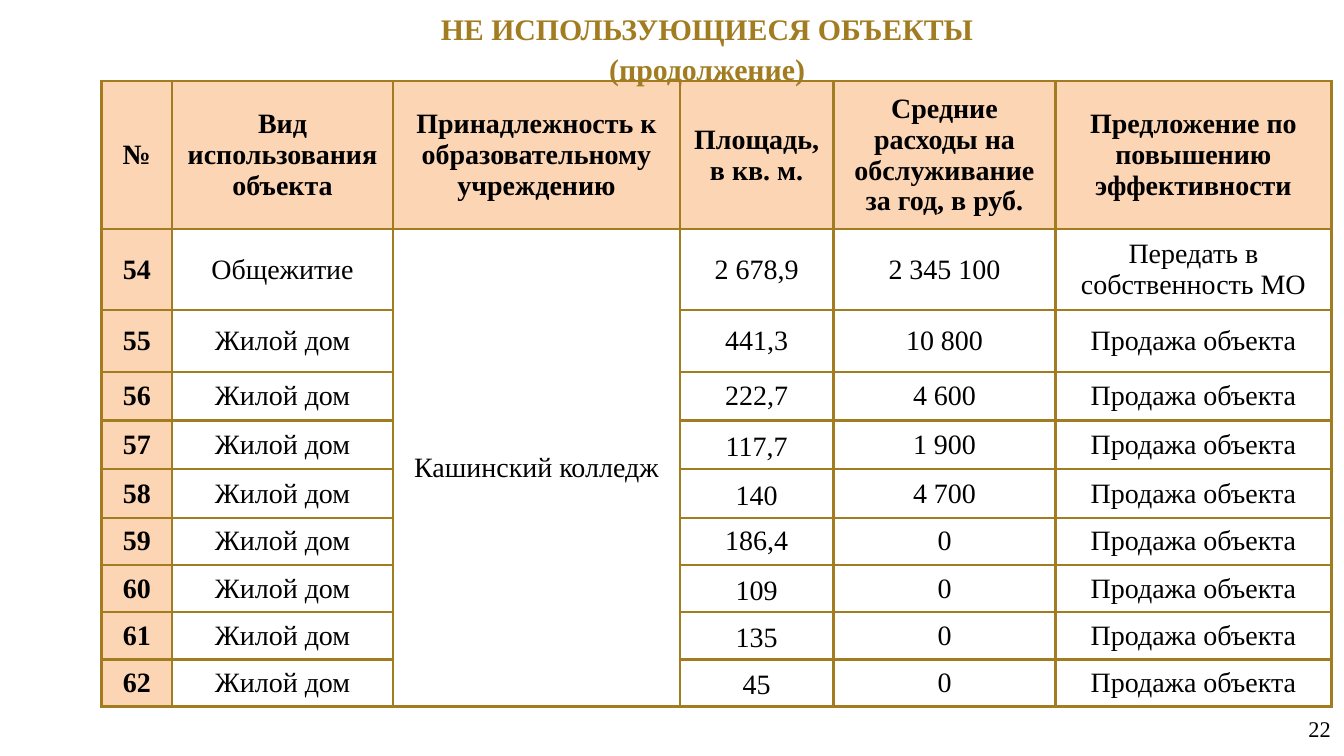
from lxml.etree import SubElement
from pptx import Presentation
from pptx.dml.color import RGBColor
from pptx.enum.text import MSO_ANCHOR as Anchor, MSO_AUTO_SIZE as AutoSize, PP_ALIGN as Align
from pptx.oxml.ns import qn
from pptx.util import Cm, Pt

GOLD = RGBColor(0xA1, 0x7C, 0x21)
PEACH = RGBColor(0xFC, 0xD5, 0xB5)
BLACK = RGBColor(0, 0, 0)
FONT = "Times New Roman"


def format_para(para, align, size, color, bold=False):
    para.alignment = align
    para.font.name = FONT
    para.font.size = Pt(size)
    para.font.bold = bold
    para.font.color.rgb = color


def add_borders(cell):
    properties = cell._tc.get_or_add_tcPr()
    for side in ("a:lnL", "a:lnR", "a:lnT", "a:lnB"):
        line = SubElement(properties, qn(side), w=str(Pt(1.5)))
        fill = SubElement(line, qn("a:solidFill"))
        SubElement(fill, qn("a:srgbClr"), val=str(GOLD))


deck = Presentation()
deck.slide_width = Cm(25.4)
deck.slide_height = Cm(14.28)
page = deck.slides.add_slide(deck.slide_layouts[5])

number_box = page.shapes.add_textbox(Cm(19.48), Cm(13.26), Cm(5.92), Cm(0.99))
number_box.text_frame.word_wrap = True
number_box.text_frame.vertical_anchor = Anchor.MIDDLE
number_box.text_frame.text = "22"
format_para(number_box.text_frame.paragraphs[0], Align.RIGHT, 12, BLACK)

house = "Жилой дом"
sale = "Продажа объекта"
college = "Кашинский колледж"
rows = [
    ("№", "Вид использования объекта", "Принадлежность к образовательному учреждению",
     "Площадь, в кв. м.", "Средние расходы на обслуживание за год, в руб.",
     "Предложение по повышению эффективности"),
    ("54", "Общежитие", college, "2 678,9", "2 345 100", "Передать в собственность МО"),
    ("55", house, "", "441,3", "10 800", sale),
    ("56", house, "", "222,7", "4 600", sale),
    ("57", house, "", "117,7", "1 900", sale),
    ("58", house, "", "140", "4 700", sale),
    ("59", house, "", "186,4", "0", sale),
    ("60", house, "", "109", "0", sale),
    ("61", house, "", "135", "0", sale),
    ("62", house, "", "45", "0", sale),
]
column_widths = [1.33, 4.18, 5.42, 2.9, 4.2, 5.21]
row_heights = [2.8, 1.51, 1.17] + [0.92] * 3 + [0.89] * 4
spaced_areas = {"57", "58", "60", "61", "62"}

frame = page.shapes.add_table(len(rows), len(column_widths), Cm(1.92), Cm(1.53),
                              Cm(sum(column_widths)), Cm(sum(row_heights)))
table = frame.table
table.first_row = False
table.horz_banding = False
for column, width in zip(table.columns, column_widths):
    column.width = Cm(width)
for row, height in zip(table.rows, row_heights):
    row.height = Cm(height)

for row_index, values in enumerate(rows):
    for column_index, value in enumerate(values):
        cell = table.cell(row_index, column_index)
        is_heading = row_index == 0 or column_index == 0
        add_borders(cell)
        if is_heading:
            cell.fill.solid()
            cell.fill.fore_color.rgb = PEACH
        else:
            cell.fill.background()
        cell.vertical_anchor = Anchor.MIDDLE
        cell.text = value
        para = cell.text_frame.paragraphs[0]
        format_para(para, Align.CENTER, 15, BLACK, is_heading)
        if column_index == 3 and values[0] in spaced_areas:
            cell.margin_left = cell.margin_right = Cm(0.18)
            cell.margin_top = cell.margin_bottom = 0
            para.line_spacing = 1.15
table.cell(1, 2).merge(table.cell(len(rows) - 1, 2))

title = page.shapes.title
title.left, title.top, title.width, title.height = Cm(1.96), Cm(0.08), Cm(22.81), Cm(1.96)
title.text_frame.auto_size = AutoSize.NONE
title.text_frame.vertical_anchor = Anchor.TOP
title.text_frame.text = "НЕ ИСПОЛЬЗУЮЩИЕСЯ ОБЪЕКТЫ\n(продолжение)"
for para in title.text_frame.paragraphs:
    format_para(para, Align.CENTER, 16, GOLD, True)
title.text_frame.paragraphs[1].space_before = Pt(2)
title.element.getparent().append(title.element)

deck.save("out.pptx")
